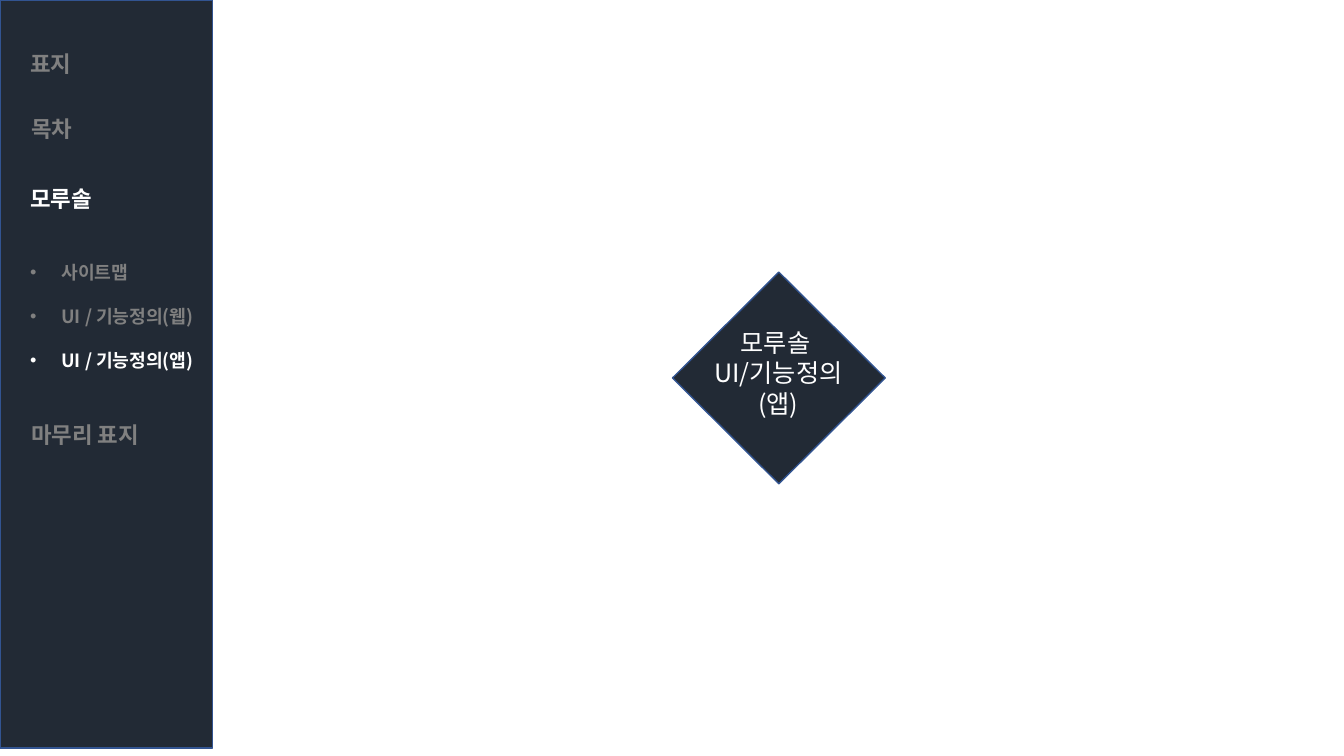
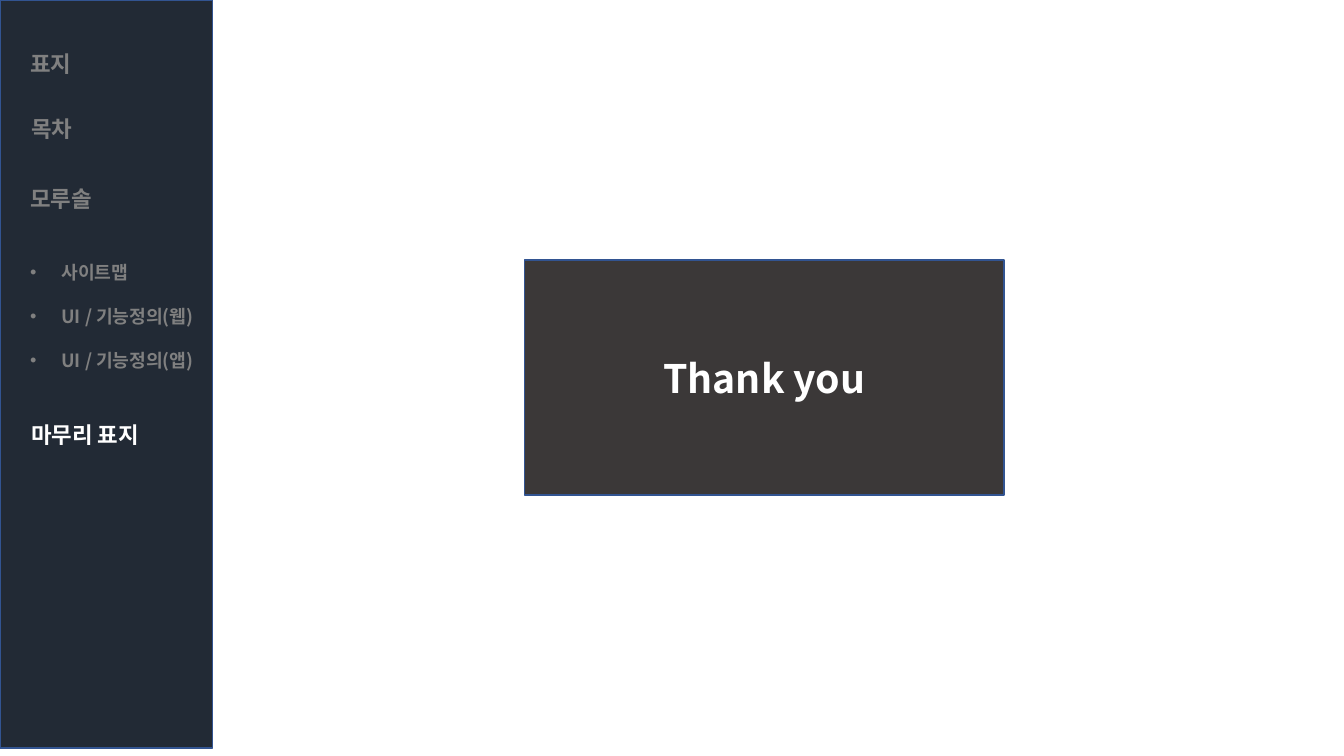
from lxml import etree
from pptx import Presentation
from pptx.dml.color import RGBColor
from pptx.enum.shapes import MSO_SHAPE
from pptx.enum.text import MSO_ANCHOR, MSO_AUTO_SIZE, PP_ALIGN
from pptx.oxml.ns import qn
from pptx.util import Inches, Pt

RECTANGLE, DIAMOND = MSO_SHAPE.RECTANGLE, MSO_SHAPE.DIAMOND
CENTER, MIDDLE = PP_ALIGN.CENTER, MSO_ANCHOR.MIDDLE
GROW = MSO_AUTO_SIZE.SHAPE_TO_FIT_TEXT

FONT = "Noto Sans CJK KR"
COLORS = {"navy": "222A35", "charcoal": "3B3838", "outline": "325491",
          "active": "FFFFFF", "inactive": "808080"}
SERVICE = "모루솔"

# Sidebar headings: text, left, top, width, height
HEADINGS = [
    ("표지", 0.2, 0.45, 1.41, 0.37),
    ("목차", 0.21, 1.09, 1.4, 0.37),
    (SERVICE, 0.2, 1.79, 2.39, 1.88),
    ("마무리 표지", 0.21, 4.13, 1.4, 0.37),
]
SUBITEMS = {SERVICE: ["사이트맵", "UI / 기능정의(웹)", "UI / 기능정의(앱)"]}


def add_panel(page, kind, left, top, width, height, fill):
    panel = page.shapes.add_shape(kind, Inches(left), Inches(top),
                                  Inches(width), Inches(height))
    panel.shadow.inherit = False
    panel.fill.solid()
    panel.fill.fore_color.rgb = RGBColor.from_string(COLORS[fill])
    panel.line.color.rgb = RGBColor.from_string(COLORS["outline"])
    panel.line.width = Pt(1)
    return panel


def write(para, text, size, color="active", bold=True):
    para.text = text
    for span in para.runs:
        span.font.name = FONT
        span.font.size = Pt(size)
        span.font.bold = bold
        span.font.color.rgb = RGBColor.from_string(COLORS[color])
        # Korean glyphs use the East Asian typeface
        east_asian = etree.SubElement(span.font._element, qn("a:ea"))
        east_asian.set("typeface", FONT)


deck = Presentation()
deck.slide_width, deck.slide_height = Inches(13.33), Inches(7.5)
pages = []

# Sidebar menu on every page, with the current entries highlighted
for current in [(SERVICE, "UI / 기능정의(앱)"), ("마무리 표지",)]:
    page = deck.slides.add_slide(deck.slide_layouts[6])
    pages.append(page)
    add_panel(page, RECTANGLE, 0, 0, 2.11, 7.42, "navy")
    for heading, left, top, width, height in HEADINGS:
        box = page.shapes.add_textbox(Inches(left), Inches(top),
                                      Inches(width), Inches(height))
        frame = box.text_frame
        frame.word_wrap = True
        frame.auto_size = GROW
        title = frame.paragraphs[0]
        write(title, heading, 16, "active" if heading in current else "inactive")
        if heading in SUBITEMS:
            title.space_after = Pt(19.5)
        for item in SUBITEMS.get(heading, []):
            para = frame.add_paragraph()
            write(para, item, 13, "active" if item in current else "inactive")
            para.line_spacing = 2.0
            properties = para._p.get_or_add_pPr()
            properties.set("marL", str(Inches(0.31)))
            properties.set("indent", str(-Inches(0.31)))
            etree.SubElement(properties, qn("a:buFont")).set("typeface", "Arial")
            etree.SubElement(properties, qn("a:buChar")).set("char", "•")

section_page, closing_page = pages

# Section divider
add_panel(section_page, DIAMOND, 6.67, 2.7, 2.11, 2.1, "navy")
label = section_page.shapes.add_textbox(Inches(6.94), Inches(3.2),
                                        Inches(1.56), Inches(1.01))
label.text_frame.text = f"{SERVICE} \nUI/기능정의\n(앱)"
label.text_frame.word_wrap = False
label.text_frame.auto_size = GROW
for para in label.text_frame.paragraphs:
    write(para, para.text, 18, bold=False)
    para.alignment = CENTER

# Closing card
card = add_panel(closing_page, RECTANGLE, 5.2, 2.58, 4.76, 2.33, "charcoal")
card.text_frame.vertical_anchor = MIDDLE
thanks = card.text_frame.paragraphs[0]
write(thanks, "Thank you", 28)
thanks.alignment = CENTER

deck.save("out.pptx")
